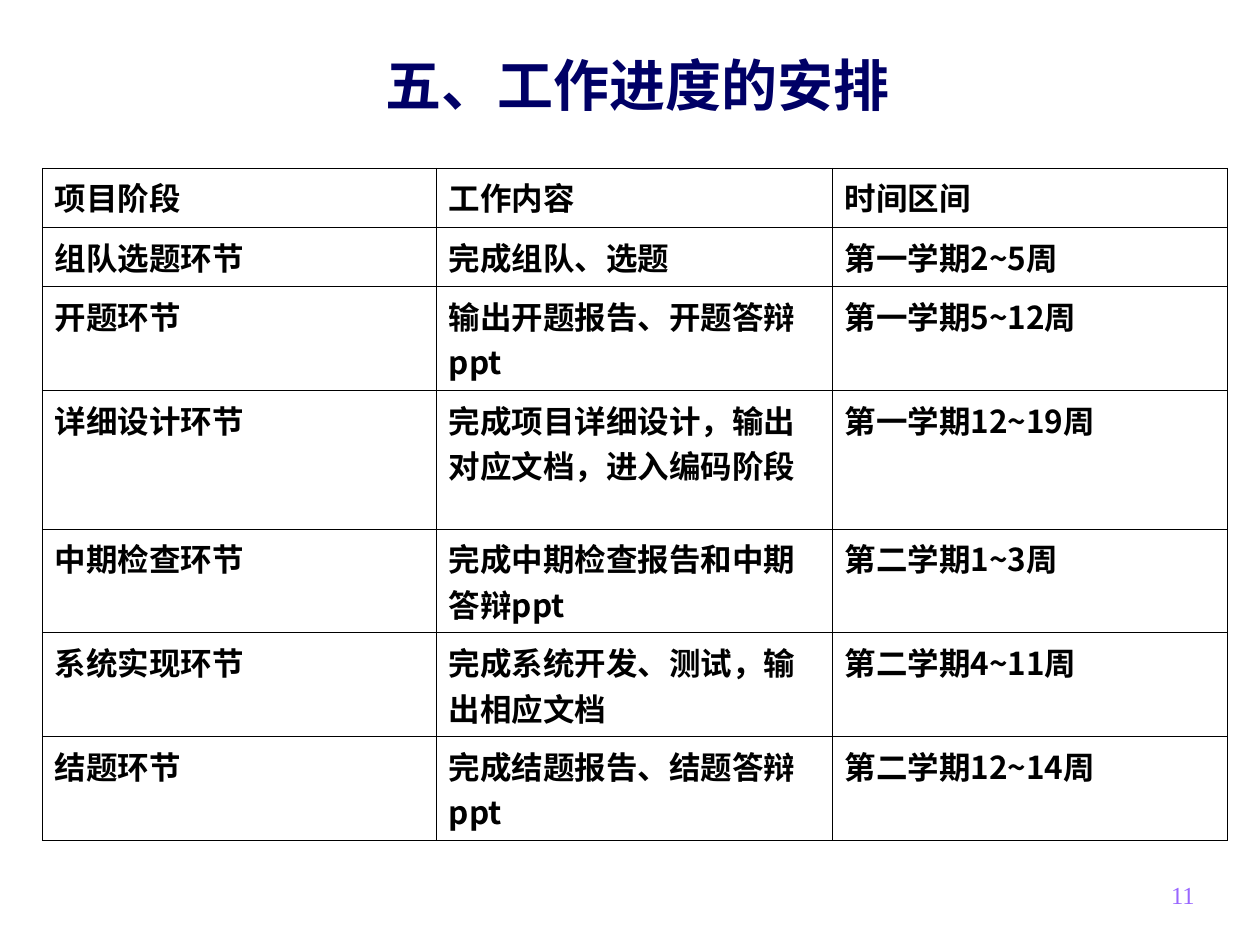
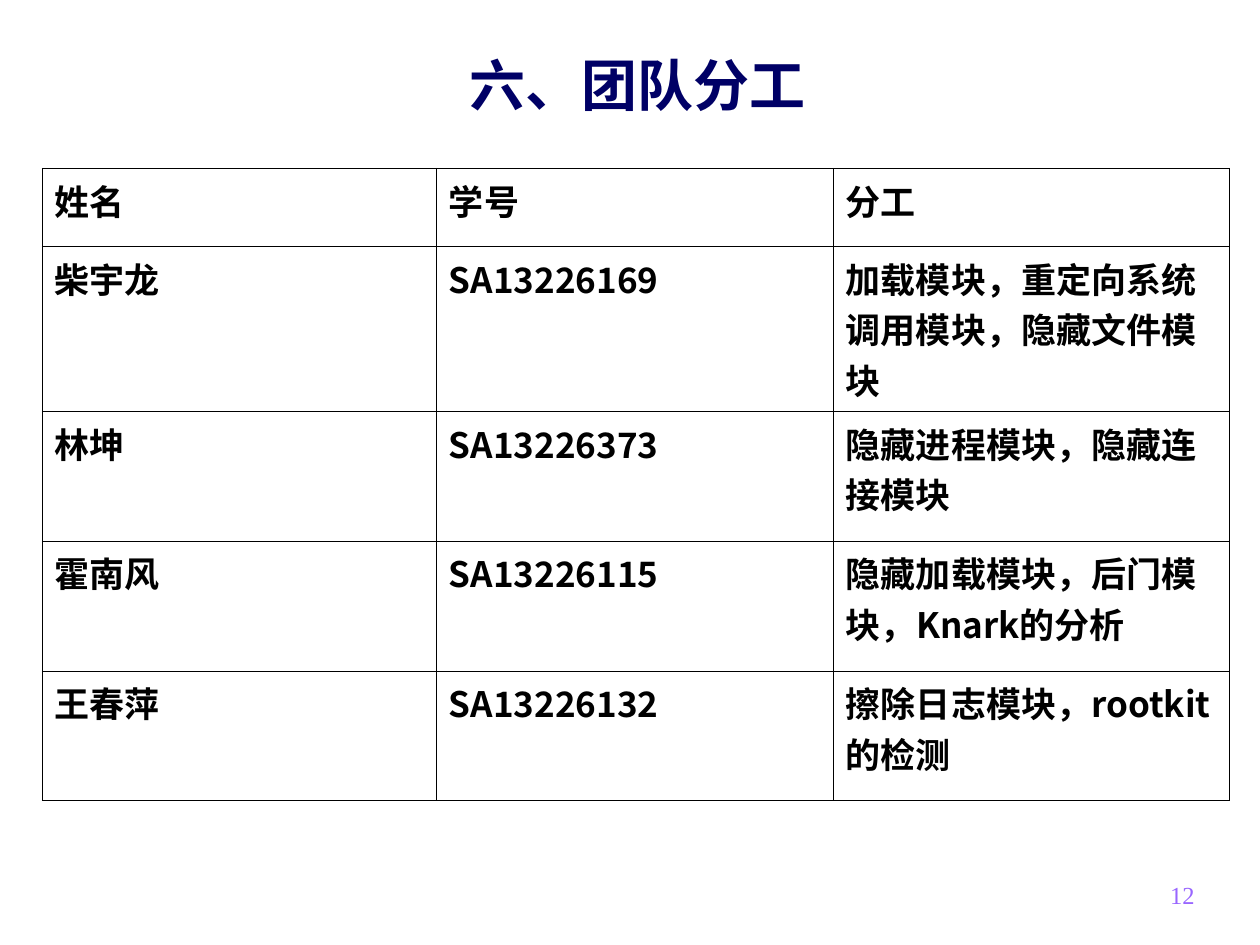
from lxml import etree
from pptx import Presentation, util as u
from pptx.dml.color import RGBColor
from pptx.enum import text as t
from pptx.oxml import ns

# Content: one dict per slide, row heights in inches
SLIDES = [
    {
        "title": "五、工作进度的安排",
        "number": "11",
        "size": 18,
        "columns": [3.13, 3.14, 3.14],
        "heights": [0.47, 0.47, 0.78, 1.1, 0.78, 0.78, 0.78],
        "rows": [
            ("项目阶段", "工作内容", "时间区间"),
            ("组队选题环节", "完成组队、选题", "第一学期2~5周"),
            ("开题环节", "输出开题报告、开题答辩ppt", "第一学期5~12周"),
            ("详细设计环节", "完成项目详细设计，输出对应文档，进入编码阶段", "第一学期12~19周"),
            ("中期检查环节", "完成中期检查报告和中期答辩ppt", "第二学期1~3周"),
            ("系统实现环节", "完成系统开发、测试，输出相应文档", "第二学期4~11周"),
            ("结题环节", "完成结题报告、结题答辩ppt", "第二学期12~14周"),
        ],
    },
    {
        "title": "六、团队分工",
        "number": "12",
        "size": 20,
        "columns": [3.13, 3.15, 3.14],
        "heights": [0.62, 1.31] + [1.03] * 3,
        "rows": [
            ("姓名", "学号", "分工"),
            ("柴宇龙", "SA13226169", "加载模块，重定向系统调用模块，隐藏文件模块"),
            ("林坤", "SA13226373", "隐藏进程模块，隐藏连接模块"),
            ("霍南风", "SA13226115", "隐藏加载模块，后门模块，Knark的分析"),
            ("王春萍", "SA13226132", "擦除日志模块，rootkit的检测"),
        ],
    },
]

# Shared look
WIDTH, HEIGHT = 10, 7.5
LEFT, TABLE_TOP = WIDTH / 30, HEIGHT * 8 / 45
WHITE, BLACK, NAVY, VIOLET = "FFFFFF", "000000", "000066", "9966FF"
CJK = "Noto Sans CJK SC"
BORDER_POINTS = 0.23

TITLE = {
    "at": (LEFT, 0.34, 9.45, 0.64),
    "frame": {"vertical_anchor": t.MSO_ANCHOR.BOTTOM,
              "auto_size": t.MSO_AUTO_SIZE.SHAPE_TO_FIT_TEXT},
    "align": t.PP_ALIGN.CENTER,
    "color": NAVY,
    "font": {"name": "Arial", "size": u.Pt(32), "bold": True},
}
NUMBER = {
    "at": (7.5, 6.83, 2.08, 0.54),
    "frame": {"vertical_anchor": t.MSO_ANCHOR.MIDDLE,
              "auto_size": t.MSO_AUTO_SIZE.NONE},
    "align": t.PP_ALIGN.RIGHT,
    "color": VIOLET,
    "font": {"name": "Times New Roman", "size": u.Pt(14), "bold": False},
}


def rgb(code):
    return RGBColor.from_string(code)


def apply(target, values):
    for name, value in values.items():
        setattr(target, name, value)


def write(frame, words, align, color, font):
    """Put one formatted line of text into a text frame."""
    frame.word_wrap = True
    para = frame.paragraphs[0]
    para.alignment = align
    span = para.add_run()
    span.text = words
    apply(span.font, font)
    span.font.color.rgb = rgb(color)
    east_asian = etree.SubElement(span.font._element, ns.qn("a:ea"))
    east_asian.set("typeface", CJK)


def add_text(page, words, style):
    box = page.shapes.add_textbox(*map(u.Inches, style["at"]))
    write(box.text_frame, words, style["align"], style["color"], style["font"])
    apply(box.text_frame, style["frame"])


def add_borders(cell):
    """Draw a thin black line on all four sides of a cell."""
    props = cell._tc.get_or_add_tcPr()
    for side in ("lnL", "lnR", "lnT", "lnB"):
        line = etree.SubElement(props, ns.qn(f"a:{side}"))
        line.set("w", str(u.Pt(BORDER_POINTS)))
        fill = etree.SubElement(line, ns.qn("a:solidFill"))
        etree.SubElement(fill, ns.qn("a:srgbClr")).set("val", BLACK)


def add_grid(page, content):
    rows, columns, heights = (content[key] for key in ("rows", "columns", "heights"))
    area = map(u.Inches, (LEFT, TABLE_TOP, sum(columns), sum(heights)))
    table = page.shapes.add_table(len(rows), len(columns), *area).table
    apply(table, {"first_row": False, "horz_banding": False})
    for column, width in zip(table.columns, columns):
        column.width = u.Inches(width)
    font = {"name": CJK, "size": u.Pt(content["size"]), "bold": True}
    for row, height, words in zip(table.rows, heights, rows):
        row.height = u.Inches(height)
        for cell, word in zip(row.cells, words):
            write(cell.text_frame, word, t.PP_ALIGN.LEFT, BLACK, font)
            add_borders(cell)
            cell.fill.solid()
            cell.fill.fore_color.rgb = rgb(WHITE)


def main():
    deck = Presentation()
    deck.slide_width, deck.slide_height = u.Inches(WIDTH), u.Inches(HEIGHT)
    for content in SLIDES:
        page = deck.slides.add_slide(deck.slide_layouts[6])
        page.background.fill.solid()
        page.background.fill.fore_color.rgb = rgb(WHITE)
        add_grid(page, content)
        add_text(page, content["title"], TITLE)
        add_text(page, content["number"], NUMBER)
    deck.save("out.pptx")


if __name__ == "__main__":
    main()
